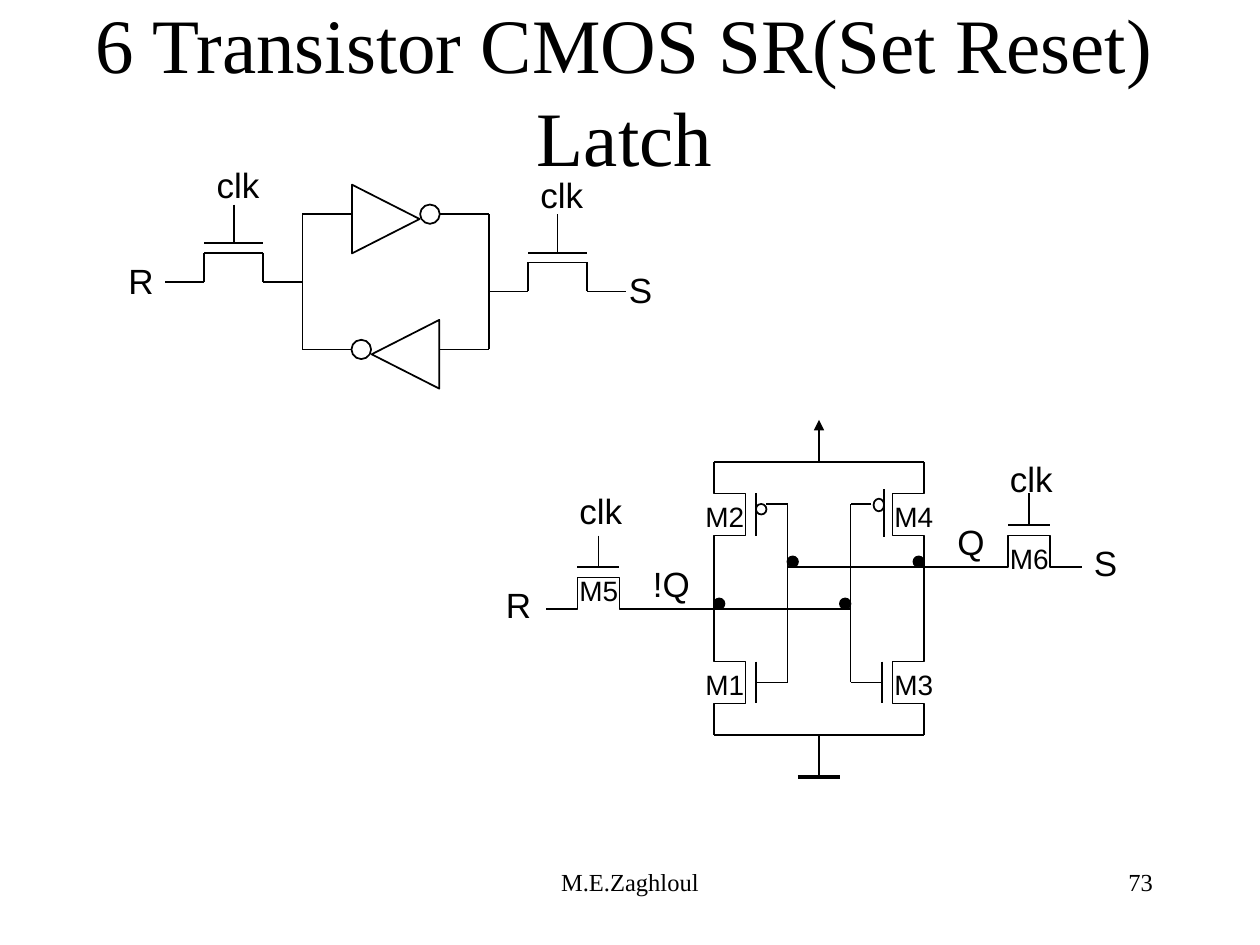
from dataclasses import dataclass
from itertools import pairwise

from lxml import etree
from pptx import Presentation
from pptx.dml.color import RGBColor
from pptx.enum.shapes import MSO_CONNECTOR, MSO_SHAPE
from pptx.enum.text import MSO_ANCHOR, MSO_AUTO_SIZE, PP_ALIGN
from pptx.oxml.ns import qn
from pptx.util import Inches, Pt

STRAIGHT = MSO_CONNECTOR.STRAIGHT
OVAL, TRIANGLE = MSO_SHAPE.OVAL, MSO_SHAPE.ISOSCELES_TRIANGLE
MIDDLE, TOP = MSO_ANCHOR.MIDDLE, MSO_ANCHOR.TOP
LEFT, CENTER, RIGHT = PP_ALIGN.LEFT, PP_ALIGN.CENTER, PP_ALIGN.RIGHT
NO_AUTOFIT = MSO_AUTO_SIZE.NONE
TITLE_ONLY = 5

LABEL_WIDTHS = {"clk": 0.54, "S": 0.38, "R": 0.4, "Q": 0.41, "!Q": 0.49}
NAME_WIDTH = 0.51


@dataclass
class Grid:
    """Column and row steps, in inches, counted from a corner."""
    left: float
    top: float
    column: float
    row: float

    def point(self, column, row):
        return (Inches(self.left + column * self.column),
                Inches(self.top + row * self.row))

    def size(self, columns, rows):
        return Inches(columns * self.column), Inches(rows * self.row)


PAGE = Grid(0, 0, 1 / 12, 1 / 12)
GATES = Grid(1.31, 1.47, 3.66 / 47, 1.61 / 21)


def color(value):
    return RGBColor.from_string(value)


class Diagram:
    ink = "000000"
    serif, sans = "Times New Roman", "Arial"
    thin, thick = 1, 2.25

    def __init__(self, slide, grid):
        self.slide, self.grid = slide, grid

    def set_text(self, shape, text, size, font, align, anchor, wrap):
        frame = shape.text_frame
        frame.text = text
        frame_format = {"word_wrap": wrap, "auto_size": NO_AUTOFIT,
                        "vertical_anchor": anchor}
        for name, value in frame_format.items():
            setattr(frame, name, value)
        paragraph = frame.paragraphs[0]
        paragraph.alignment = align
        run_font = paragraph.runs[0].font
        for name, value in {"size": Pt(size), "name": font}.items():
            setattr(run_font, name, value)
        run_font.color.rgb = color(self.ink)

    def title(self, text, column, row, columns, rows):
        shape = self.slide.shapes.title
        shape.left, shape.top = self.grid.point(column, row)
        shape.width, shape.height = self.grid.size(columns, rows)
        self.set_text(shape, text, 44, self.serif, CENTER, MIDDLE, True)

    def footer(self, text, column, row, columns, rows, align):
        shape = self.slide.shapes.add_textbox(
            *self.grid.point(column, row), *self.grid.size(columns, rows))
        self.set_text(shape, text, 14, self.serif, align, TOP, True)

    def label(self, text, column, row):
        """Signals are large; transistor names are small."""
        signal = text in LABEL_WIDTHS
        width = LABEL_WIDTHS.get(text, NAME_WIDTH)
        shape = self.slide.shapes.add_textbox(
            *self.grid.point(column, row),
            Inches(width), Inches(0.44 if signal else 0.37))
        self.set_text(shape, text, 20 if signal else 16, self.sans, LEFT, TOP, False)

    def outline(self, shape, filled=False):
        shape.shadow.inherit = False
        if filled:
            shape.fill.solid()
            shape.fill.fore_color.rgb = color(self.ink)
        else:
            shape.fill.background()
        shape.line.color.rgb = color(self.ink)
        shape.line.width = Pt(self.thin)

    def shape(self, kind, column, row, columns=1, rows=1, filled=False, rotation=0):
        shape = self.slide.shapes.add_shape(
            kind, *self.grid.point(column, row), *self.grid.size(columns, rows))
        shape.rotation = rotation
        self.outline(shape, filled)

    def wire(self, *points, width=thin, arrow=False):
        """Joins the points with lines; an arrow sits at each line's start."""
        for start, end in pairwise(points):
            connector = self.slide.shapes.add_connector(
                STRAIGHT, *self.grid.point(*start), *self.grid.point(*end))
            connector.line.color.rgb = color(self.ink)
            connector.line.width = Pt(width)
            properties = connector._element.spPr
            if arrow:
                etree.SubElement(properties.find(qn("a:ln")),
                                 qn("a:headEnd"), type="triangle")
            etree.SubElement(properties, qn("a:effectLst"))

    def channel(self, *points):
        """Draws a transistor channel as one open outline."""
        first, *others = [self.grid.point(*point) for point in points]
        builder = self.slide.shapes.build_freeform(*first)
        builder.add_line_segments(others, close=False)
        self.outline(builder.convert_to_shape())

    def pass_transistor(self, column, row, draw, reach, width):
        """Starts at the left end; reach is the length of each side lead."""
        left, right = column + reach, column + reach + width
        middle, plate = (left + right) / 2, row - 4
        draw((column, row), (left, row), (left, row - 3),
             (right, row - 3), (right, row), (right + reach, row))
        self.wire((left, plate), (right, plate))
        self.wire((middle, plate - reach), (middle, plate))

    def stacked_transistor(self, column, row, side):
        """Bulges to the right for side 1 and to the left for side -1."""
        inner = column + 3 * side
        self.channel((column, row), (column, row + 3), (inner, row + 3),
                     (inner, row + 7), (column, row + 7), (column, row + 10))


def draw_gate_latch(diagram):
    for column, row in ((0, 10), (33, 11)):
        diagram.pass_transistor(column, row, diagram.wire, reach=4, width=6)
    for triangle, bubble, row, rotation in ((19, 26, 0, 90), (21, 19, 14, 270)):
        diagram.shape(TRIANGLE, triangle, row, 7, 7, rotation=rotation)
        diagram.shape(OVAL, bubble, row + 2, 2, 2)
    # Each rail meets a triangle base on one row and a bubble on the other.
    for rail, gate in ((14, 19), (33, 28)):
        diagram.wire((gate, 3), (rail, 3), (rail, 17), (gate, 17))
    for text, column, row in (("clk", 37, -1.8), ("clk", 4, -2.9),
                              ("S", 46, 8), ("R", -5, 7)):
        diagram.label(text, column, row)


def draw_transistor_latch(diagram):
    for rail, side in ((68, 1), (88, -1)):
        for row in (44, 60):
            diagram.stacked_transistor(rail, row, side)
        plate, feedback = rail + 4 * side, rail + 7 * side
        diagram.wire((plate, 63), (plate, 67))
        diagram.wire((rail, 53), (rail, 61))
        diagram.wire((rail + 5 * side, 48), (feedback, 48),
                     (feedback, 65), (plate, 65))
    diagram.wire((72, 47), (72, 51))
    diagram.wire((84.2, 46.6), (84.2, 51.1))
    diagram.shape(OVAL, 72, 48)
    diagram.shape(OVAL, 83.2, 47.5, 1, 1.2)

    for row in (44, 70):
        diagram.wire((68, row), (88, row))
    diagram.wire((78, 40), (78, 44), arrow=True)
    diagram.wire((78, 70), (78, 74))
    diagram.wire((76, 74), (80, 74), width=diagram.thick)

    for start, end, row, dots in ((60, 81, 58, (68, 80)), (75, 96, 54, (75, 87))):
        diagram.wire((start, row), (end, row))
        for dot in dots:
            diagram.shape(OVAL, dot, row - 1, filled=True)
    for column, row in ((52, 58), (93, 54)):
        diagram.pass_transistor(column, row, diagram.channel, reach=3, width=4)

    for text, column, row in (
            ("M1", 66, 63), ("M2", 66, 47), ("M3", 84, 63), ("M4", 84, 47),
            ("M5", 54, 54), ("M6", 95, 51), ("R", 47, 55), ("S", 103, 51),
            ("clk", 54, 46), ("clk", 95, 43), ("!Q", 61, 53), ("Q", 90, 49)):
        diagram.label(text, column, row)


def main():
    presentation = Presentation()
    presentation.slide_width, presentation.slide_height = Inches(10), Inches(7.5)
    slide = presentation.slides.add_slide(presentation.slide_layouts[TITLE_ONLY])
    page = Diagram(slide, PAGE)
    page.title("6 Transistor CMOS SR(Set Reset) Latch", 6, 2, 107, 13)
    page.footer("M.E.Zaghloul", 41, 82, 38, 6, CENTER)
    page.footer("73", 86, 82, 25, 6, RIGHT)
    draw_gate_latch(Diagram(slide, GATES))
    draw_transistor_latch(page)
    presentation.save("out.pptx")


if __name__ == "__main__":
    main()
